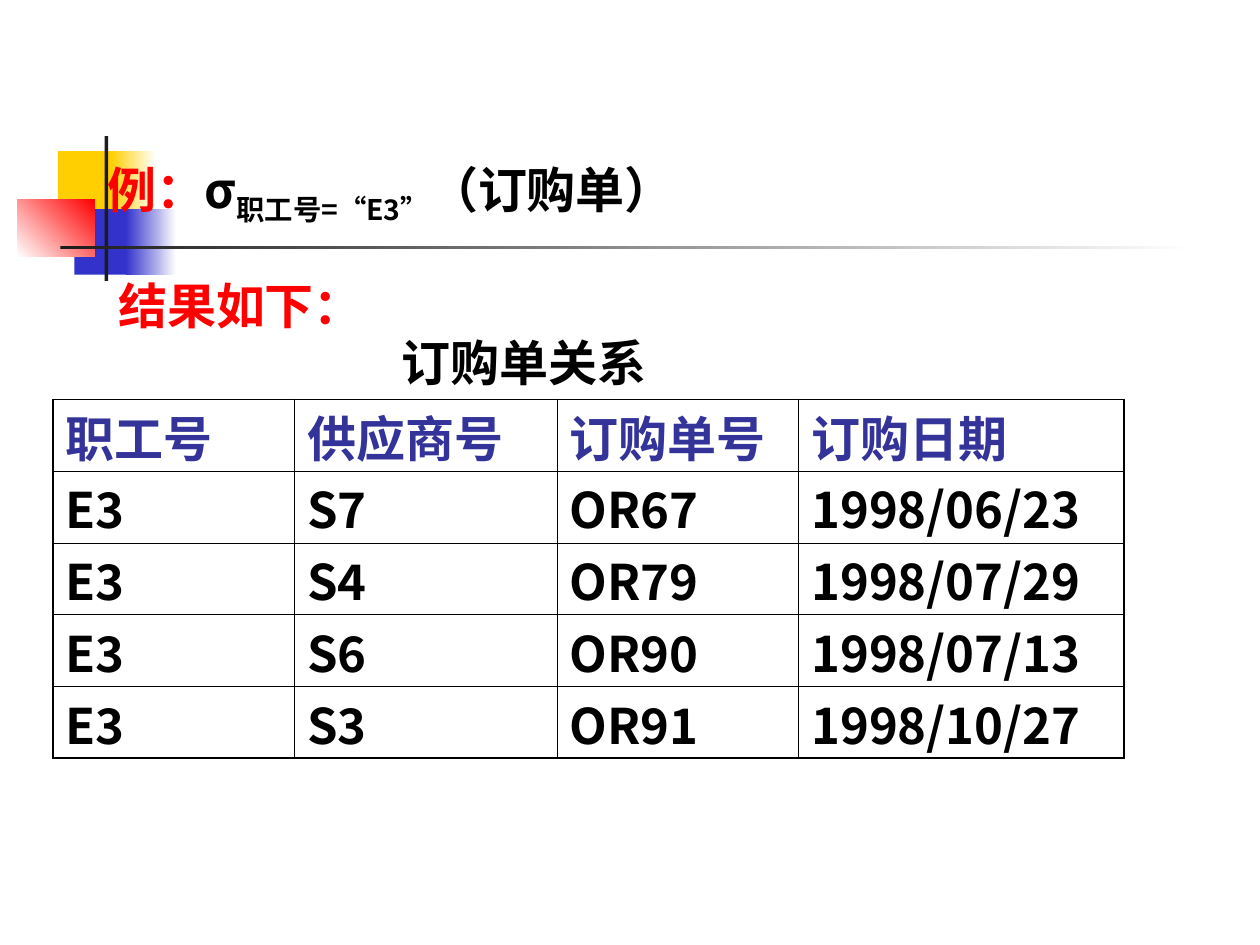
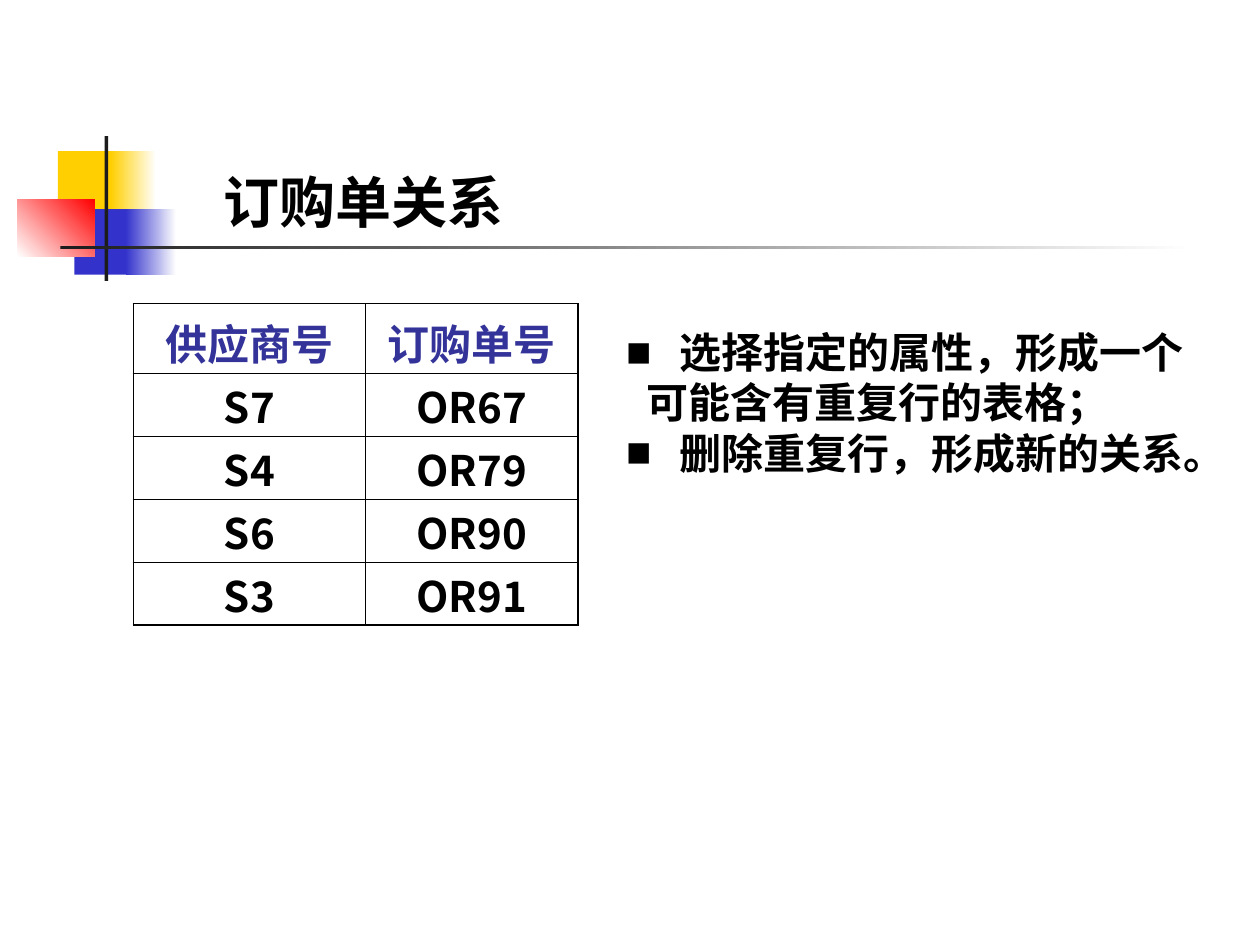
"""Build two slides showing selection and projection on an order relation."""
from lxml.etree import SubElement
from pptx import Presentation
from pptx.dml.color import RGBColor
from pptx.enum.shapes import MSO_SHAPE
from pptx.enum.text import MSO_ANCHOR, MSO_AUTO_SIZE, PP_ALIGN
from pptx.oxml.ns import qn
from pptx.util import Inches, Pt

BLACK = RGBColor(0x00, 0x00, 0x00)
WHITE = RGBColor(0xFF, 0xFF, 0xFF)
RED = RGBColor(0xFF, 0x00, 0x00)
YELLOW = RGBColor(0xFF, 0xCF, 0x01)
BLUE = RGBColor(0x33, 0x33, 0xCC)
CHARCOAL = RGBColor(0x1C, 0x1C, 0x1C)
INDIGO = RGBColor(0x33, 0x33, 0x99)
SANS = "Noto Sans CJK SC"
SERIF = "Times New Roman"

EMBLEM = [
    (0.46, 1.2, 0.48, 0.52, [YELLOW], 0),
    (0.88, 1.2, 0.36, 0.52, [YELLOW, WHITE], 0),
    (0.59, 1.66, 0.46, 0.52, [BLUE], 0),
    (1, 1.66, 0.4, 0.52, [BLUE, WHITE], 0),
    (0.14, 1.58, 0.61, 0.46, [WHITE, RED], 45),
    (0.83, 1.08, 0.03, 1.15, [CHARCOAL], 0),
    (0.48, 1.95, 9, 0.03, [CHARCOAL, WHITE], 0),
]


def write(paragraph, text, size=28, color=BLACK, font=SANS, align=PP_ALIGN.LEFT, baseline=0):
    """Add a bold run to a paragraph with evenly set lines."""
    paragraph.alignment = align
    paragraph.line_spacing = Pt(size * 1.2)
    paragraph.space_before = Pt(0)
    run = paragraph.add_run()
    run.text = text
    run.font.size, run.font.bold, run.font.name = Pt(size), True, font
    run.font.color.rgb = color
    properties = run.font._element
    properties.set("lang", "zh-CN")
    if baseline:
        properties.set("baseline", str(baseline * 1000))
    SubElement(properties, qn("a:ea")).set("typeface", SANS)


def place(holder, left, top, width, height):
    """Position a text holder and return its first paragraph."""
    holder.left, holder.top = Inches(left), Inches(top)
    holder.width, holder.height = Inches(width), Inches(height)
    frame = holder.text_frame
    frame.word_wrap = True
    frame.auto_size = MSO_AUTO_SIZE.NONE
    frame.vertical_anchor = MSO_ANCHOR.TOP
    return frame.paragraphs[0]


deck = Presentation()
deck.slide_width, deck.slide_height = Inches(10), Inches(7.5)
selection = deck.slides.add_slide(deck.slide_layouts[5])
projection = deck.slides.add_slide(deck.slide_layouts[1])

for slide in (selection, projection):
    for left, top, width, height, colors, angle in EMBLEM:
        block = slide.shapes.add_shape(
            MSO_SHAPE.RECTANGLE, Inches(left), Inches(top), Inches(width), Inches(height))
        block.shadow.inherit = False
        block.line.fill.background()
        if len(colors) == 1:
            block.fill.solid()
            block.fill.fore_color.rgb = colors[0]
        else:
            block.fill.gradient()
            block.fill.gradient_angle = angle
            for stop, color in zip(block.fill.gradient_stops, colors):
                stop.color.rgb = color
        slide.shapes.title._element.addprevious(block._element)

expression = place(selection.shapes.title, 0.75, 1.28, 6, 0.63)
write(expression, "例：", color=RED)
write(expression, "σ")
write(expression, "职工号=“E3”", baseline=-25)
write(expression, "（订购单）")
for text, color, left, top in [("结果如下：", RED, 0.84, 2.14), ("订购单关系", BLACK, 3.09, 2.59)]:
    label = selection.shapes.add_textbox(0, 0, 0, 0)
    write(place(label, left, top, 2.3, 0.57), text, color=color, font=SERIF)

write(place(projection.shapes.title, 1.67, 1.28, 2.6, 0.64), "订购单关系", size=32, font=SERIF)

steps = projection.placeholders[1]
step = place(steps, 4.87, 2.54, 5, 1.3)
for number, (text, bullet, indent) in enumerate([
    ("选择指定的属性，形成一个", True, 0.42),
    ("可能含有重复行的表格；", False, 0.16),
    ("删除重复行，形成新的关系。", True, 0.42),
]):
    if number:
        step = steps.text_frame.add_paragraph()
    layout = step._p.get_or_add_pPr()
    layout.set("marL", str(Inches(indent)))
    layout.set("indent", str(-Inches(indent) if bullet else 0))
    if bullet:
        SubElement(layout, qn("a:buFont")).set("typeface", "Arial")
        SubElement(layout, qn("a:buChar")).set("char", "■")
    else:
        SubElement(layout, qn("a:buNone"))
    write(step, text, size=24)

orders = [
    ("职工号", "供应商号", "订购单号", "订购日期"),
    ("E3", "S7", "OR67", "1998/06/23"),
    ("E3", "S4", "OR79", "1998/07/29"),
    ("E3", "S6", "OR90", "1998/07/13"),
    ("E3", "S3", "OR91", "1998/10/27"),
]
supplier_orders = [row[1:3] for row in orders]

for slide, rows, left, top, widths, heights, size, align in [
    (selection, orders, 0.42, 3.17, [1.92, 2.08, 1.92, 2.58], [0.57] * 5, 28, PP_ALIGN.LEFT),
    (projection, supplier_orders, 1.06, 2.41, [1.84, 1.69], [0.55] + [0.5] * 4, 24,
     PP_ALIGN.CENTER),
]:
    relation = slide.shapes.add_table(
        len(rows), len(widths), Inches(left), Inches(top),
        Inches(sum(widths)), Inches(sum(heights))).table
    relation.first_row = relation.horz_banding = False
    for column, width in zip(relation.columns, widths):
        column.width = Inches(width)
    for r, values in enumerate(rows):
        relation.rows[r].height = Inches(heights[r])
        for c, value in enumerate(values):
            cell = relation.cell(r, c)
            cell.margin_top, cell.margin_bottom = Inches(0.05), 0
            cell.vertical_anchor = MSO_ANCHOR.BOTTOM
            outer_edges = {"L": c == 0, "R": c == len(widths) - 1,
                           "T": r == 0, "B": r == len(rows) - 1}
            for side, outer in outer_edges.items():
                border = SubElement(cell._tc.get_or_add_tcPr(), qn(f"a:ln{side}"))
                border.set("w", str(Pt(1.08 if outer else 0.45)))
                paint = SubElement(border, qn("a:solidFill"))
                SubElement(paint, qn("a:srgbClr")).set("val", str(BLACK))
            cell.fill.background()
            write(cell.text_frame.paragraphs[0], value, size=size,
                  color=BLACK if r else INDIGO, align=align)

deck.save("out.pptx")
